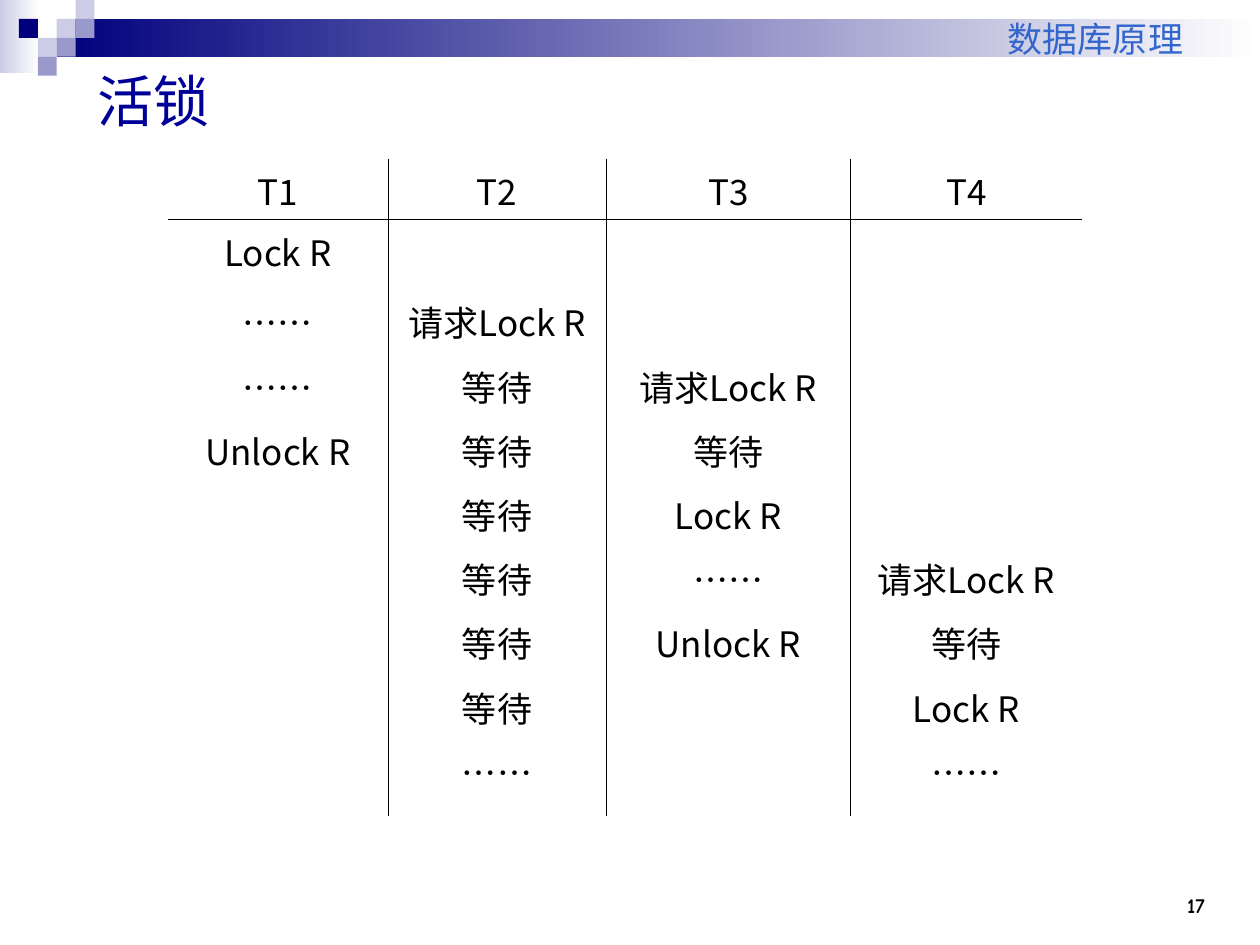
from lxml import etree
from pptx import Presentation
from pptx import util as u
from pptx.dml.color import RGBColor
from pptx.enum import shapes, text
from pptx.oxml.ns import qn

IN = u.Inches
NAVY, LILAC, MID, WHITE, BLACK = "00007D", "CCCCE6", "9999CC", "FFFFFF", "000000"
SANS, COMIC = "Noto Sans CJK SC", "Comic Neue"
ALIGN, ANCHOR = text.PP_ALIGN, text.MSO_ANCHOR

STEP = 0.15
SQUARES = [(3, 1, LILAC), (4, 0, LILAC), (4, 1, MID), (2, 2, LILAC),
           (1, 1, NAVY), (3, 2, MID), (2, 3, MID)]

COLS = [1.75, 1.73, 1.94, 1.84]
ROWS = [0.48, 0.56] + [0.51] * 7 + [0.61]
DOTS, ASK, WAIT = "……", "请求Lock R", "等待"
STEPS = [
    ["T1", "T2", "T3", "T4"],
    ["Lock R", "", "", ""],
    [DOTS, ASK, "", ""],
    [DOTS, WAIT, ASK, ""],
    ["Unlock R", WAIT, WAIT, ""],
    ["", WAIT, "Lock R", ""],
    ["", WAIT, DOTS, ASK],
    ["", WAIT, "Unlock R", WAIT],
    ["", WAIT, "", "Lock R"],
    ["", DOTS, "", DOTS],
]


def rgb(code):
    return RGBColor.from_string(code)


class Deck:
    """Holds the text style and the current slide."""

    def __init__(self):
        self.prs = Presentation()
        self.prs.slide_width, self.prs.slide_height = IN(10), IN(7.5)
        self.slide = self.prs.slides.add_slide(self.prs.slide_layouts[5])
        self.style = {"size": u.Pt(20), "name": SANS, "bold": False}

    def put(self, para, words, align, color=BLACK, **style):
        """Add one styled run to a paragraph."""
        para.alignment = align
        run = para.add_run()
        run.text = words
        for key, value in {**self.style, **style}.items():
            setattr(run.font, key, value)
        run.font.color.rgb = rgb(color)
        face = etree.SubElement(run.font._element, qn("a:ea"))
        face.set("typeface", SANS)

    def rect(self, box, *colors):
        """Draw a rectangle: one colour is solid, two make a gradient."""
        shape = self.slide.shapes.add_shape(
            shapes.MSO_SHAPE.RECTANGLE, *map(IN, box))
        shape.shadow.inherit = False
        shape.line.fill.background()
        if len(colors) == 1:
            shape.fill.solid()
            shape.fill.fore_color.rgb = rgb(colors[0])
            return
        shape.fill.gradient()
        shape.fill.gradient_angle = 0
        for stop, color in zip(shape.fill.gradient_stops, colors):
            stop.color.rgb = rgb(color)

    def label(self, box, words, inset=0.1, **style):
        frame = self.slide.shapes.add_textbox(*map(IN, box)).text_frame
        frame.word_wrap = True
        frame.vertical_anchor = ANCHOR.BOTTOM
        frame.margin_right = IN(inset)
        self.put(frame.paragraphs[0], words, ALIGN.RIGHT, **style)

    def title(self, box, words, **style):
        shape = self.slide.shapes.title
        for key, value in zip(("left", "top", "width", "height"), box):
            setattr(shape, key, IN(value))
        frame = shape.text_frame
        frame.vertical_anchor = ANCHOR.MIDDLE
        self.put(frame.paragraphs[0], words, ALIGN.LEFT, **style)

    def edges(self, cell, shown):
        """Rule the named sides of a cell and clear the others."""
        props = cell._tc.get_or_add_tcPr()
        for side in "LRTB":
            line = etree.SubElement(props, qn("a:ln" + side), w="5715")
            if side in shown:
                fill = etree.SubElement(line, qn("a:solidFill"))
                etree.SubElement(fill, qn("a:srgbClr"), val=BLACK)
            else:
                etree.SubElement(line, qn("a:noFill"))

    def table(self, left, top, data, cols, rows):
        grid = self.slide.shapes.add_table(
            len(rows), len(cols), IN(left), IN(top),
            IN(sum(cols)), IN(sum(rows))).table
        grid.first_row = grid.horz_banding = False
        for col, width in zip(grid.columns, cols):
            col.width = IN(width)
        for r, height in enumerate(rows):
            grid.rows[r].height = IN(height)
            for c, words in enumerate(data[r]):
                cell = grid.cell(r, c)
                shown = "L" * (c > 0) + "R" * (c < len(cols) - 1)
                shown += "B" * (r == 0) + "T" * (r == 1)
                self.edges(cell, shown)
                cell.fill.background()
                if words:
                    para = cell.text_frame.paragraphs[0]
                    self.put(para, words, ALIGN.CENTER)


def main():
    deck = Deck()
    deck.rect((0, 0, 0.31, 0.58), LILAC, WHITE)
    deck.rect((0.45, 0.15, 9.55, 0.3), NAVY, WHITE)
    for col, row, color in SQUARES:
        deck.rect((col * STEP, row * STEP, STEP, STEP), color)
    deck.label((8.83, 6.83, 0.83, 0.5), "17",
               name=COMIC, size=u.Pt(12), bold=True)
    deck.label((3.83, 0, 5.92, 0.52), "数据库原理", inset=0.36,
               name=COMIC, color="3366CC")
    deck.title((0.67, 0.42, 9, 0.75), "活锁",
               name=COMIC, size=u.Pt(32), color="000099")
    deck.table(1.33, 1.26, STEPS, COLS, ROWS)
    deck.prs.save("out.pptx")


if __name__ == "__main__":
    main()
